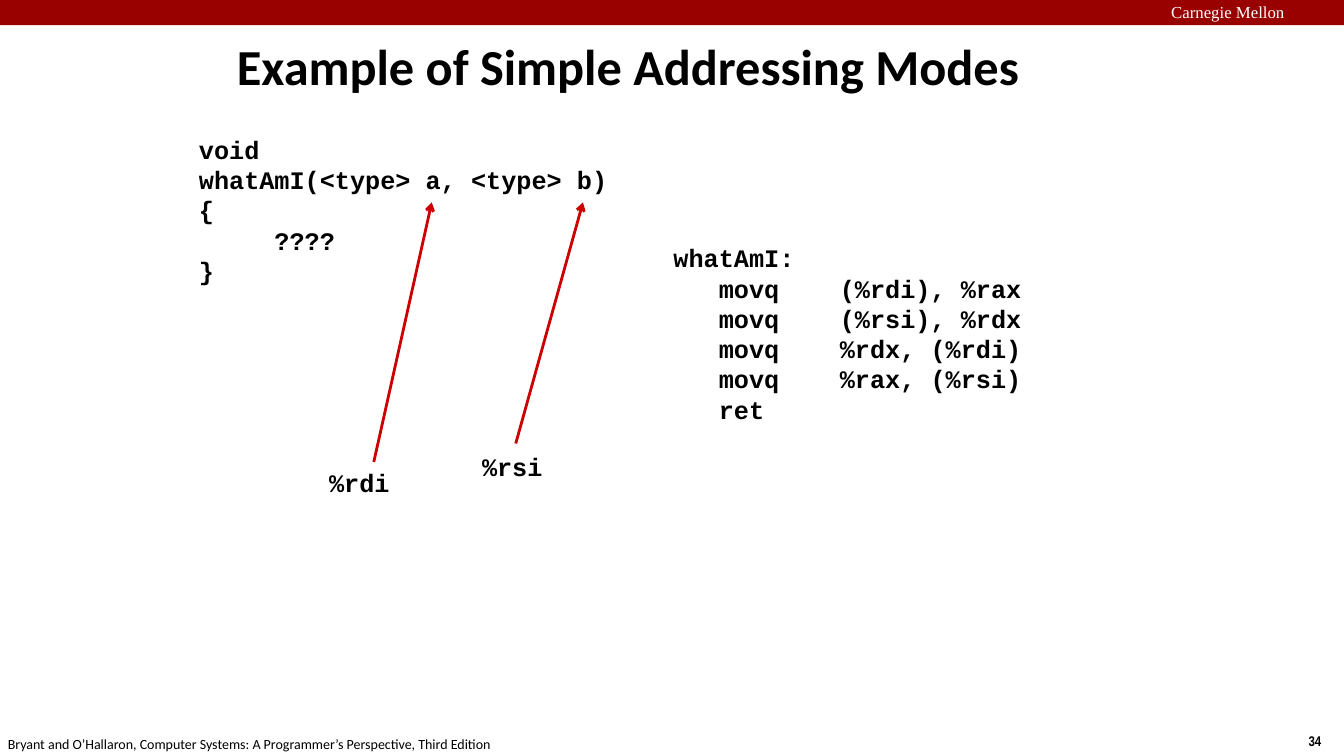
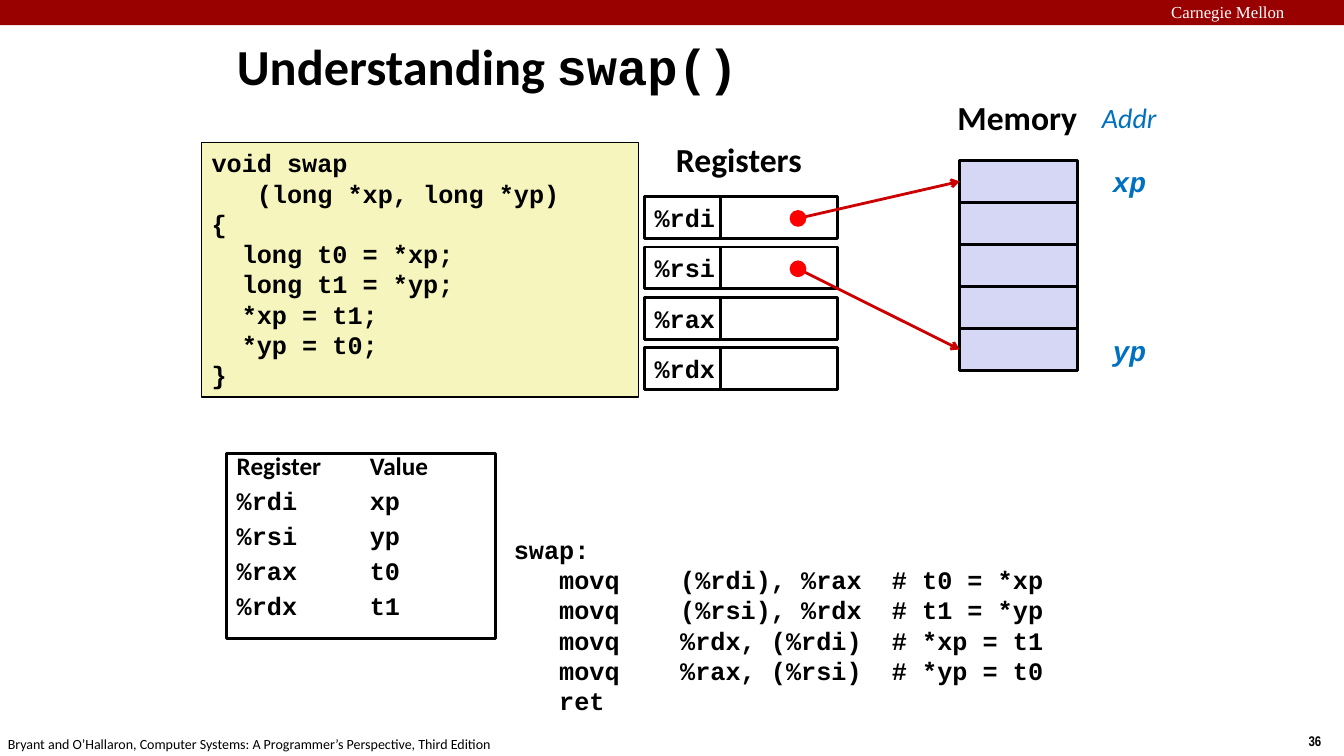
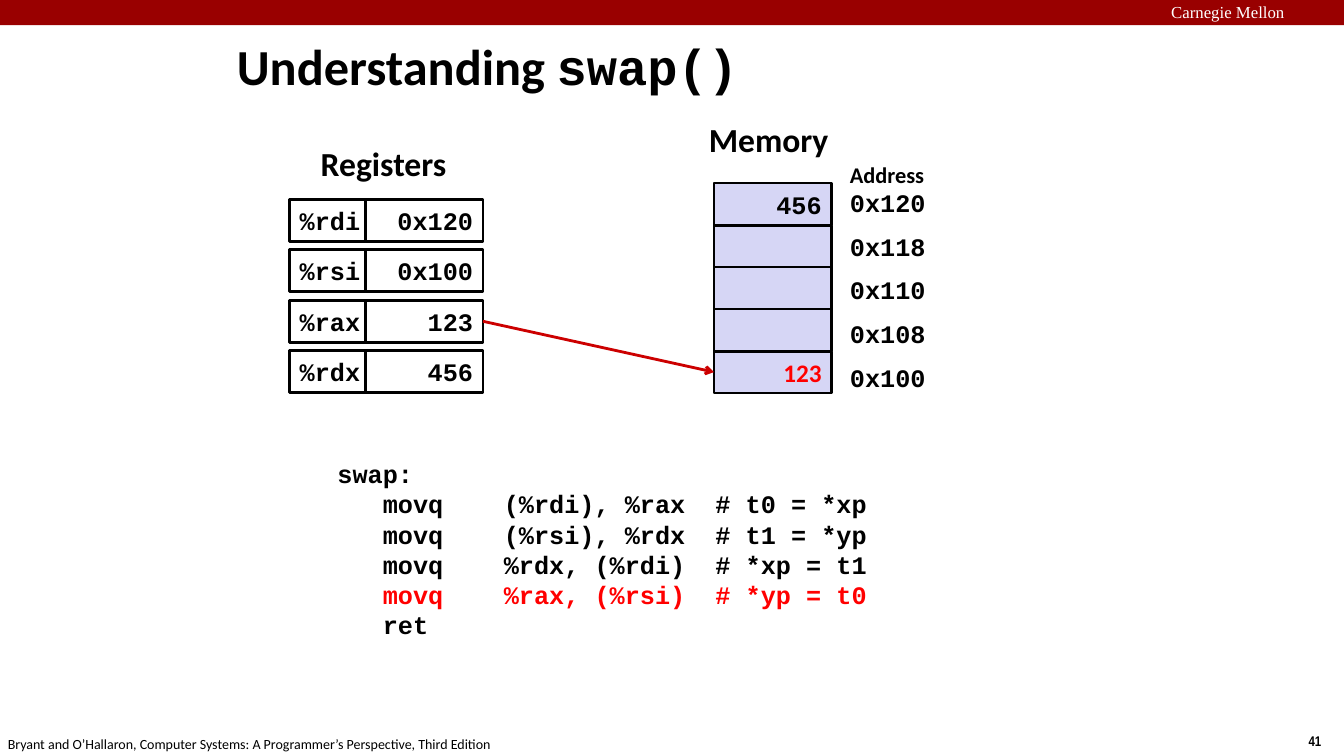
from lxml.etree import SubElement
from pptx import Presentation
from pptx.dml.color import RGBColor
from pptx.enum.shapes import MSO_CONNECTOR, MSO_SHAPE
from pptx.enum.text import MSO_ANCHOR, PP_ALIGN
from pptx.oxml.ns import qn
from pptx.util import Emu, Inches, Pt

COLORS = {
    "black": "000000",
    "white": "FFFFFF",
    "band": "990000",
    "arrow": "CC0000",
    "red": "FF0000",
    "blue": "0070C0",
    "memory": "D6D6F5",
    "code": "F6F5BD",
}
SANS, MONO = "Calibri", "Courier New"
LEFT, CENTER, RIGHT = PP_ALIGN.LEFT, PP_ALIGN.CENTER, PP_ALIGN.RIGHT

presentation = Presentation()
presentation.slide_width, presentation.slide_height = Emu(12192000), Emu(6858000)
COLUMNS = 160
UNIT = presentation.slide_width / COLUMNS


def add_box(slide, column, row, width, height, lines=(), font=MONO, size=18, color="black",
            bold=True, italic=False, align=LEFT, wrap=True, fill=None, line=0,
            anchor=MSO_ANCHOR.TOP, preset=MSO_SHAPE.RECTANGLE):
    place = [Emu(round(value * UNIT)) for value in (column, row, width, height)]
    if fill or line:
        shape = slide.shapes.add_shape(preset, *place)
        shape.shadow.inherit = False
        if fill:
            shape.fill.solid()
            shape.fill.fore_color.rgb = RGBColor.from_string(COLORS[fill])
        else:
            shape.fill.background()
        if line:
            shape.line.color.rgb = RGBColor.from_string(COLORS["black"])
            shape.line.width = Pt(line)
        else:
            shape.line.fill.background()
    else:
        shape = slide.shapes.add_textbox(*place)
    frame = shape.text_frame
    frame.word_wrap = wrap
    frame.vertical_anchor = anchor
    for index, content in enumerate(lines):
        paragraph = frame.add_paragraph() if index else frame.paragraphs[0]
        paragraph.alignment = align
        for text, run_color in [(content, color)] if isinstance(content, str) else content:
            run = paragraph.add_run()
            run.text = text
            run.font.name, run.font.size = font, Pt(size)
            run.font.bold, run.font.italic = bold, italic
            run.font.color.rgb = RGBColor.from_string(COLORS[run_color])
    return shape


def add_arrow(slide, start, end):
    points = [Emu(round(value * UNIT)) for value in (*start, *end)]
    arrow = slide.shapes.add_connector(MSO_CONNECTOR.STRAIGHT, *points)
    arrow.line.color.rgb = RGBColor.from_string(COLORS["arrow"])
    arrow.line.width = Pt(2)
    SubElement(arrow.line._get_or_add_ln(), qn("a:tailEnd"), type="arrow")
    SubElement(arrow._element.spPr, qn("a:effectLst"))
    return arrow


layout = presentation.slide_layouts[5]
for placeholder in list(layout.placeholders)[1:]:
    placeholder.element.getparent().remove(placeholder.element)

swap_title = [("Understanding ", SANS), ("swap()", MONO)]
slides = []
for number, title_width, title_runs in (
    ("34", 100.5, [("Example of Simple Addressing Modes", SANS)]),
    ("36", 83.6, swap_title),
    ("41", 83.6, swap_title),
):
    slide = presentation.slides.add_slide(layout)
    if not slides:
        for shared in (
            add_box(slide, 0, 0, COLUMNS, 3, fill="band"),
            add_box(slide, 138.25, -0.4, 22.9, 3.6, ["Carnegie Mellon"], "Times New Roman", 12,
                    "white", bold=False),
            add_box(slide, -0.25, 87, 61, 3.2,
                    ["Bryant and O’Hallaron, Computer Systems: A Programmer’s Perspective, Third Edition"],
                    SANS, 10, bold=False, wrap=False),
        ):
            layout.shapes.element.append(shared.element)
    title = slide.shapes.title
    title.left, title.top = Emu(round(27 * UNIT)), Emu(round(4 * UNIT))
    title.width, title.height = Emu(round(title_width * UNIT)), Emu(round(7.5 * UNIT))
    title.text_frame.vertical_anchor = MSO_ANCHOR.MIDDLE
    paragraph = title.text_frame.paragraphs[0]
    paragraph.alignment = LEFT
    for text, font in title_runs:
        run = paragraph.add_run()
        run.text = text
        run.font.name, run.font.size, run.font.bold = font, Pt(36), True
        run.font.color.rgb = RGBColor.from_string(COLORS["black"])
    add_box(slide, 154.6, 86.6, 4.1, 3.2, [number], "Arial Narrow", 10, wrap=False)
    slides.append(slide)
modes_slide, pointers_slide, trace_slide = slides

operands = ["(%rdi), %rax", "(%rsi), %rdx", "%rdx, (%rdi)", "%rax, (%rsi)"]
effects = ["t0 = *xp", "t1 = *yp", "*xp = t1", "*yp = t0"]
moves = [f"   movq    {operand}" for operand in operands]
noted_moves = [f"{move}  # {effect}" for move, effect in zip(moves, effects)]
traced_moves = noted_moves[:3] + [[("   ", "black"), (noted_moves[3].strip(), "red")]]
for slide, column, row, width, name, body in (
    (modes_slide, 79, 28.3, 55, "whatAmI:", moves),
    (pointers_slide, 60, 63, 77, "swap:", noted_moves),
    (trace_slide, 39, 54, 77, "swap:", traced_moves),
):
    add_box(slide, column, row, width, 23, [name, *body, "   ret"])

add_box(modes_slide, 22.5, 15.4, 53.3, 19.4,
        ["void", "whatAmI(<type> a, <type> b)", "{", "     ????", "}"])
for register, column, row, start, end in (
    ("%rdi", 38, 55.1, (44.5, 55), (51.4, 24.1)),
    ("%rsi", 56.2, 53.1, (61.4, 52.8), (69.4, 24.1)),
):
    add_arrow(modes_slide, start, end)
    add_box(modes_slide, column, row, 15.7, 4.8, [register])

registers = ["%rdi", "%rsi", "%rax", "%rdx"]
register_cells, memory_cells = {}, {}
cell_style = {"line": 2, "anchor": MSO_ANCHOR.MIDDLE, "wrap": False}
for slide, column, row, values in (
    (pointers_slide, 76.75, 23.4, [None] * 4),
    (trace_slide, 34.5, 23.75, ["0x120", "0x100", "123", "456"]),
):
    for index, (register, value) in enumerate(zip(registers, values)):
        top = row + 6 * index
        add_box(slide, column, top, 9, 5, [register], fill="white", **cell_style)
        register_cells[slide.slide_id, register] = add_box(
            slide, column + 9, top, 14, 5, [value] if value else [], align=RIGHT,
            fill="white", **cell_style)

for slide, column, row, values in (
    (pointers_slide, 114.25, 19.1, [None] * 5),
    (trace_slide, 85, 21.8, ["456", None, None, None, "123"]),
):
    for index, value in enumerate(values):
        font, color = (SANS, "red") if value == "123" else (MONO, "black")
        memory_cells[slide.slide_id, index] = add_box(
            slide, column, row + 5 * index, 14, 5, [value] if value else [], font,
            color=color, align=RIGHT, fill="memory", **cell_style)

for slide, heading, column, row, width in (
    (pointers_slide, "Memory", 112.8, 10.9, 16.8),
    (pointers_slide, "Registers", 79.3, 16, 17.8),
    (trace_slide, "Memory", 83.2, 13.6, 16.8),
    (trace_slide, "Registers", 37, 16.4, 17.8),
):
    add_box(slide, column, row, width, 6, [heading], SANS, 24, wrap=False)

add_box(pointers_slide, 24, 17, 52, 30.25,
        ["void swap", "   (long *xp, long *yp)", "{", "  long t0 = *xp;",
         "  long t1 = *yp;", "  *xp = t1;", "  *yp = t0;", "}"], fill="code", line=1)

roles = [f"{register}\t{role}" for register, role in zip(registers, ["xp", "yp", "t0", "t1"])]
role_box = add_box(pointers_slide, 27, 54, 32, 22, ["Register\tValue", *roles], line=2)
for index, paragraph in enumerate(role_box.text_frame.paragraphs):
    paragraph.line_spacing = 0.7
    if index:
        paragraph.space_before = Pt(9.8)
    else:
        paragraph.runs[0].font.name = SANS
    tabs = SubElement(paragraph._p.get_or_add_pPr(), qn("a:tabLst"))
    SubElement(tabs, qn("a:tab"), pos=str(Inches(1.32)), algn="l")

add_box(pointers_slide, 130, 11.4, 9, 5.3, ["Addr"], SANS, 20, "blue", bold=False, italic=True,
        wrap=False)
for index, (pointer, label_row, cell) in enumerate((("xp", 19, 0), ("yp", 39.1, 4))):
    dot_row = 26 + 6 * index
    arrow = add_arrow(pointers_slide, (95, dot_row), (114.25, 21.6 + 5 * cell))
    arrow.end_connect(memory_cells[pointers_slide.slide_id, cell], 1)
    add_box(pointers_slide, 94, dot_row - 1, 2, 2, fill="red", preset=MSO_SHAPE.OVAL)
    add_box(pointers_slide, 131.2, label_row, 6.5, 5.3, [pointer], size=20, color="blue",
            italic=True, align=CENTER, wrap=False)

arrow = add_arrow(trace_slide, (57.5, 38.25), (85, 44.3))
arrow.begin_connect(register_cells[trace_slide.slide_id, "%rax"], 3)
arrow.end_connect(memory_cells[trace_slide.slide_id, 4], 1)
add_box(trace_slide, 100, 18.6, 16, 4.4, ["Address"], SANS, 16)
for index, address in enumerate(["0x120", "0x118", "0x110", "0x108", "0x100"]):
    add_box(trace_slide, 100, 21.7 + 5.2 * index, 16, 4.8, [address])

presentation.save("out.pptx")
